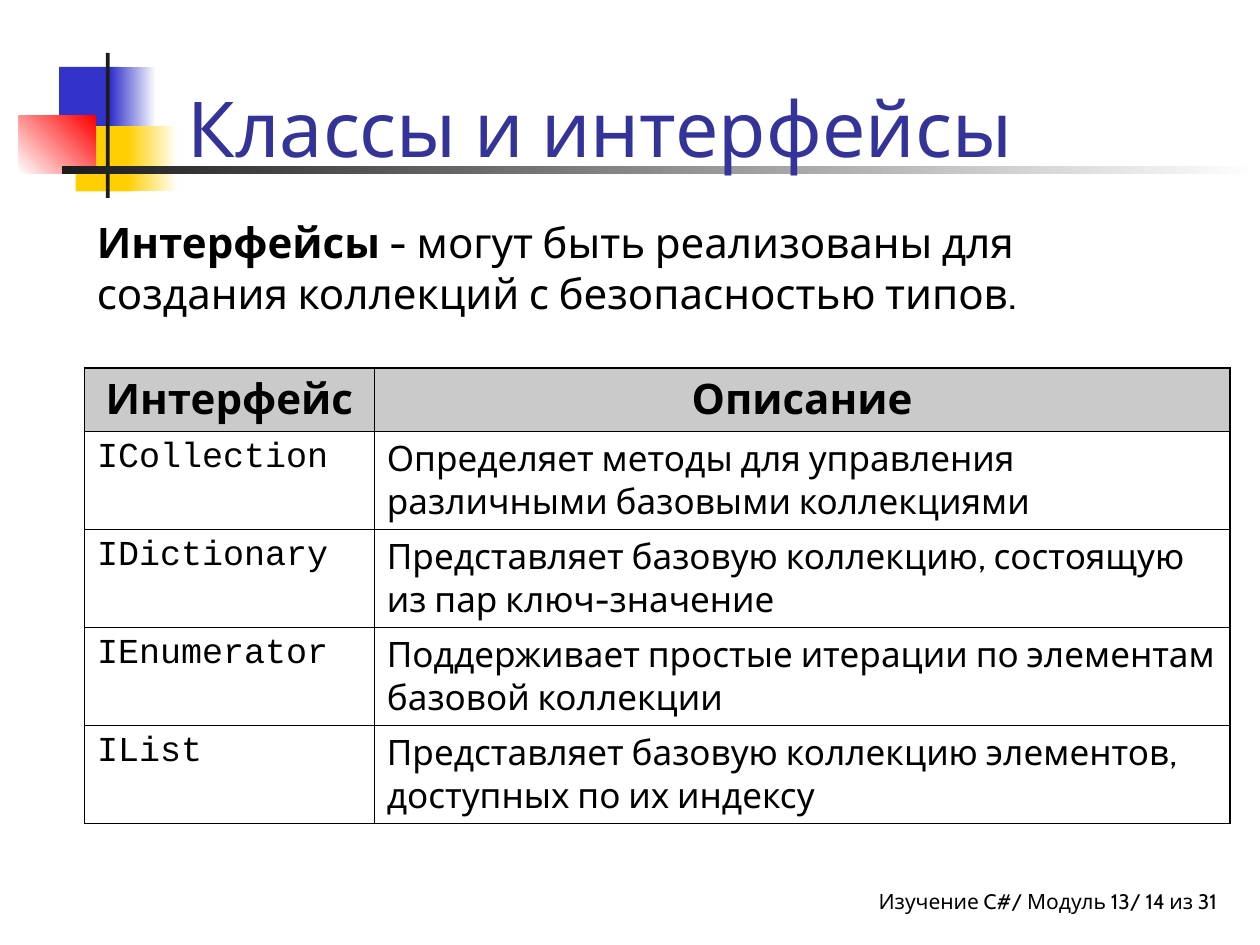
import dataclasses

import lxml.etree
import pptx
import pptx.dml.color
import pptx.enum.text
import pptx.oxml.ns
import pptx.util

COLUMNS, ROWS = 100, 75
SLIDE_WIDTH, SLIDE_HEIGHT = pptx.util.Inches(10), pptx.util.Inches(7.5)
BODY_FONT, CODE_FONT = "Cabin", "Courier New"
BLACK, WHITE, BLUE, YELLOW, DARK = "000000", "FFFFFF", "3333CC", "FFCF01", "1C1C1C"
ALIGN = pptx.enum.text.PP_ALIGN
ANCHOR = pptx.enum.text.MSO_ANCHOR
OUTER_LINE, INNER_LINE = 1.08, 0.45


@dataclasses.dataclass(frozen=True)
class Area:
    """Place and size in grid columns and rows."""
    column: float
    row: float
    width: float
    height: float

    def lengths(self) -> tuple[int, int, int, int]:
        return (across(self.column), down(self.row), across(self.width), down(self.height))


@dataclasses.dataclass(frozen=True)
class Ornament:
    area: Area
    start: str
    end: str | None = None
    angle: float = 0


def across(columns: float) -> int:
    return round(SLIDE_WIDTH * columns / COLUMNS)


def down(rows: float) -> int:
    return round(SLIDE_HEIGHT * rows / ROWS)


def rgb(value: str) -> pptx.dml.color.RGBColor:
    return pptx.dml.color.RGBColor.from_string(value)


def write(paragraph, text: str, *, size: float, font: str = BODY_FONT, color: str = BLACK,
          bold: bool = False, align=ALIGN.LEFT) -> None:
    """Add one formatted run to the paragraph."""
    paragraph.alignment = align
    run = paragraph.add_run()
    run.text = text
    run.font.size = pptx.util.Pt(size)
    run.font.name = font
    run.font.bold = bold
    run.font.color.rgb = rgb(color)


def add_ornament(slide, ornament: Ornament) -> None:
    shape = slide.shapes.add_shape(pptx.enum.shapes.MSO_SHAPE.RECTANGLE, *ornament.area.lengths())
    shape.shadow.inherit = False
    shape.line.fill.background()
    if ornament.end is None:
        shape.fill.solid()
        shape.fill.fore_color.rgb = rgb(ornament.start)
        return
    shape.fill.gradient()
    shape.fill.gradient_angle = ornament.angle
    for stop, color in zip(shape.fill.gradient_stops, (ornament.start, ornament.end)):
        stop.color.rgb = rgb(color)


def add_textbox(slide, area: Area):
    frame = slide.shapes.add_textbox(*area.lengths()).text_frame
    frame.word_wrap = True
    return frame


def set_borders(cell, widths: dict[str, float]) -> None:
    properties = cell._tc.get_or_add_tcPr()
    for position, (side, width) in enumerate(widths.items()):
        line = lxml.etree.Element(pptx.oxml.ns.qn(f"a:ln{side}"), w=str(pptx.util.Pt(width)))
        fill = lxml.etree.SubElement(line, pptx.oxml.ns.qn("a:solidFill"))
        lxml.etree.SubElement(fill, pptx.oxml.ns.qn("a:srgbClr"), val=BLACK)
        properties.insert(position, line)


def fill_header(cell) -> None:
    cell.fill.solid()
    cell.fill.fore_color.rgb = rgb("969696")
    color = cell._tc.tcPr.find(".//" + pptx.oxml.ns.qn("a:srgbClr"))
    lxml.etree.SubElement(color, pptx.oxml.ns.qn("a:alpha"), val="50000")


def add_table(slide, area: Area, widths: list[float], heights: list[float],
              records: list[tuple[str, str]]) -> None:
    table = slide.shapes.add_table(len(heights), len(widths), *area.lengths()).table
    table.first_row = table.horz_banding = False
    for column, width in zip(table.columns, widths):
        column.width = across(width)
    last_row, last_column = len(heights) - 1, len(widths) - 1
    for r, (height, record) in enumerate(zip(heights, records)):
        table.rows[r].height = down(height)
        for c, text in enumerate(record):
            cell = table.cell(r, c)
            paragraph = cell.text_frame.paragraphs[0]
            if r == 0:
                fill_header(cell)
                write(paragraph, text, size=24, bold=True, align=ALIGN.CENTER)
            else:
                cell.fill.background()
                write(paragraph, text, size=20, font=BODY_FONT if c else CODE_FONT)
            edges = {"L": c == 0, "R": c == last_column, "T": r == 0, "B": r == last_row}
            set_borders(cell, {side: OUTER_LINE if outer else INNER_LINE
                               for side, outer in edges.items()})


ORNAMENTS = [
    Ornament(Area(4.7, 5.3, 4.8, 5.2), BLUE),
    Ornament(Area(8.8, 5.3, 3.6, 5.2), BLUE, WHITE),
    Ornament(Area(6, 10, 4.6, 5.2), YELLOW),
    Ornament(Area(10.1, 10, 4, 5.2), YELLOW, WHITE),
    Ornament(Area(1.5, 9.2, 6.1, 4.6), WHITE, "FF0000", 45),
    Ornament(Area(8.4, 4.2, 0.3, 11.5), DARK),
    Ornament(Area(4.9, 13.2, 95.1, 0.6), DARK, WHITE),
]

INTERFACES = [
    ("Интерфейс", "Описание"),
    ("ICollection", "Определяет методы для управления различными базовыми коллекциями"),
    ("IDictionary", "Представляет базовую коллекцию, состоящую из пар ключ-значение"),
    ("IEnumerator", "Поддерживает простые итерации по элементам базовой коллекции"),
    ("IList", "Представляет базовую коллекцию элементов, доступных по их индексу"),
]


def main() -> None:
    presentation = pptx.Presentation()
    presentation.slide_width, presentation.slide_height = SLIDE_WIDTH, SLIDE_HEIGHT
    slide = presentation.slides.add_slide(presentation.slide_layouts.get_by_name("Title Only"))

    footer = add_textbox(slide, Area(45.8, 70, 50.8, 3.3))
    footer.margin_right = 0
    write(footer.paragraphs[0], "Изучение C#/ Модуль 13/ 14 из 31", size=12, align=ALIGN.RIGHT)

    for ornament in ORNAMENTS:
        add_ornament(slide, ornament)

    title = slide.shapes.title
    title.left, title.top, title.width, title.height = Area(13.9, 1.7, 85.2, 12.5).lengths()
    title.text_frame.vertical_anchor = ANCHOR.BOTTOM
    title.text_frame.auto_size = pptx.enum.text.MSO_AUTO_SIZE.NONE
    write(title.text_frame.paragraphs[0], "Классы и интерфейсы", size=44, color="333399")
    title._element.getparent().append(title._element)  # in front of the ornaments

    header_height, record_height = 5.0, 7.7
    heights = [header_height] + [record_height] * (len(INTERFACES) - 1)
    add_table(slide, Area(6.7, 29.2, 90.9, sum(heights)), [23, 67.9], heights, INTERFACES)

    definition = add_textbox(slide, Area(6.7, 16.7, 85, 50.8)).paragraphs[0]
    write(definition, "Интерфейсы", size=24, bold=True)
    write(definition, " - могут быть реализованы для создания коллекций с безопасностью типов.",
          size=24)

    presentation.save("out.pptx")


if __name__ == "__main__":
    main()
